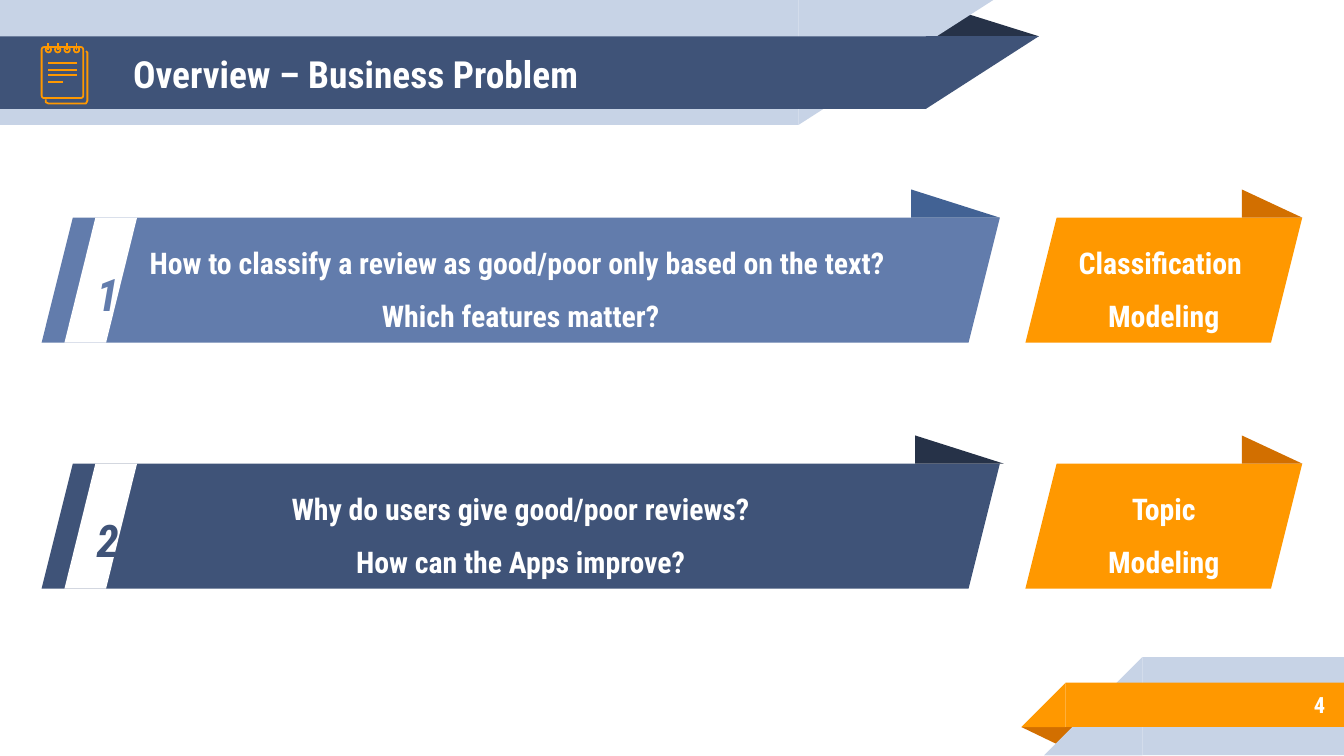
import pptx
import pptx.util
import pptx.dml.color
import pptx.enum.shapes
import pptx.enum.text
import pptx.oxml
import pptx.oxml.ns

Inches = pptx.util.Inches
SHAPE = pptx.enum.shapes.MSO_SHAPE
ALIGN = pptx.enum.text.PP_ALIGN
MIDDLE = pptx.enum.text.MSO_ANCHOR.MIDDLE
COLORS = {
    "white": "FFFFFF", "pale": "C7D3E6", "navy": "3F5378", "dark": "263248",
    "blue": "627CAC", "blue_fold": "426294", "orange": "FF9800", "orange_fold": "D26F00",
}


def add_block(kind, bounds, color, rotation=0, flip=False, adjust=None):
    block = page.shapes.add_shape(kind, *[Inches(length) for length in bounds])
    block.shadow.inherit = False
    block.fill.solid()
    block.fill.fore_color.rgb = pptx.dml.color.RGBColor.from_string(COLORS[color])
    block.line.fill.background()
    block.rotation = rotation
    if flip:
        block.element.spPr.get_or_add_xfrm().set("flipH", "1")
    if adjust is not None:
        block.adjustments[0] = adjust
    return block


def write_text(box, lines, size, color, align, spacing=1.0, italic=None):
    frame = box.text_frame
    frame.word_wrap = True
    frame.auto_size = pptx.enum.text.MSO_AUTO_SIZE.NONE
    frame.vertical_anchor = MIDDLE
    for index, line in enumerate(lines):
        para = frame.add_paragraph() if index else frame.paragraphs[0]
        para.alignment = align
        para.line_spacing = spacing
        span = para.add_run()
        span.text = line
        span.font.name = "Roboto Condensed"
        span.font.size = pptx.util.Pt(size)
        span.font.bold = True
        span.font.italic = italic
        span.font.color.rgb = pptx.dml.color.RGBColor.from_string(COLORS[color])


deck = pptx.Presentation()
deck.slide_width = Inches(10)
deck.slide_height = Inches(10) * 9 // 16
page = deck.slides.add_slide(deck.slide_layouts[5])

add_block(SHAPE.ISOSCELES_TRIANGLE, (6.88, 0.09, 0.85, 0.18), "dark", adjust=0.324)
for top, height, width, slant, color in [
    (0, 0.93, 5.94, 1.45, "pale"),
    (0.27, 0.54, 6.89, 0.84, "navy"),
]:
    add_block(SHAPE.RECTANGLE, (0, top, width, height), color, 180, True)
    add_block(SHAPE.RIGHT_TRIANGLE, (width, top, slant, height), color, 180, True)

add_block(SHAPE.ISOSCELES_TRIANGLE, (7.6, 5.41, 0.43, 0.14), "orange_fold", 180, adjust=0.324)
for left, top, size, color in [(8.5, 4.89, 0.73, "pale"), (7.93, 5.08, 0.33, "orange")]:
    add_block(SHAPE.RECTANGLE, (left, top, 10 - left, size), color, flip=True)
    add_block(SHAPE.RIGHT_TRIANGLE, (left - size, top, size, size), color, flip=True)

title = page.shapes.title
page.shapes.element.append(title.element)
title.left, title.top = Inches(0.89), Inches(0.27)
title.width, title.height = Inches(5.75), Inches(0.56)
write_text(title, ["Overview – Business Problem"], 20, "white", ALIGN.LEFT)

number = page.shapes.add_textbox(Inches(8.33), Inches(5.07), Inches(1.63), Inches(0.35))
write_text(number, ["4"], 12, "white", ALIGN.RIGHT)

builder = page.shapes.build_freeform(34, 74, scale=Inches(0.01))
builder.add_line_segments(
    [(34, 76), (36, 77), (64, 77), (65, 75), (65, 39), (64, 38)], close=False
)
icon_parts = [builder.convert_to_shape()]
icon_parts.append(add_block(SHAPE.ROUNDED_RECTANGLE, (0.31, 0.35, 0.31, 0.38), "navy", adjust=0.06))
icon_lines = [(0.36, y, x, y) for y, x in [(0.47, 0.57), (0.52, 0.57), (0.56, 0.57), (0.61, 0.47)]]
for ring in range(4):
    center = 0.36 + 0.07 * ring
    icon_parts.append(add_block(SHAPE.OVAL, (center - 0.02, 0.35, 0.04, 0.04), "navy"))
    icon_lines.append((center, 0.32, center, 0.37))
for ends in icon_lines:
    stroke = page.shapes.add_connector(
        pptx.enum.shapes.MSO_CONNECTOR.STRAIGHT, *[Inches(length) for length in ends]
    )
    stroke.element.spPr.append(pptx.oxml.parse_xml(
        "<a:effectLst %s/>" % pptx.oxml.ns.nsdecls("a")
    ))
    icon_parts.append(stroke)
for part in icon_parts:
    part.line.color.rgb = pptx.dml.color.RGBColor.from_string(COLORS["orange"])
    part.line.width = pptx.util.Pt(0.96)
    if hasattr(part, "fill"):
        part.shadow.inherit = False
        part.fill.background()

questions = [
    ("1", 1.62, "blue", "blue_fold", 6.78,
     ["How to classify a review as good/poor only based on the text? ", "Which features matter?"],
     ["Classification ", "Modeling"]),
    ("2", 3.45, "navy", "dark", 6.81,
     ["Why do users give good/poor reviews?", "How can the Apps improve?"],
     ["Topic", "Modeling"]),
]
for label, top, color, fold, fold_left, question, method in questions:
    banner = add_block(SHAPE.PARALLELOGRAM, (0.31, top, 7.13, 0.93), color)
    write_text(banner, question, 16, "white", ALIGN.CENTER, 1.5)
    add_block(SHAPE.RIGHT_TRIANGLE, (fold_left, top - 0.21, 0.66, 0.21), fold)
    tag = add_block(SHAPE.PARALLELOGRAM, (7.63, top, 2.06, 0.93), "orange")
    write_text(tag, method, 16, "white", ALIGN.CENTER, 1.5)
    add_block(SHAPE.RIGHT_TRIANGLE, (9.24, top - 0.21, 0.45, 0.21), "orange_fold")
    stripe = add_block(SHAPE.PARALLELOGRAM, (0.48, top, 0.54, 0.93), "white", adjust=0.426)
    write_text(stripe, [label], 24, color, ALIGN.CENTER, 1.5, True)

deck.save("out.pptx")
